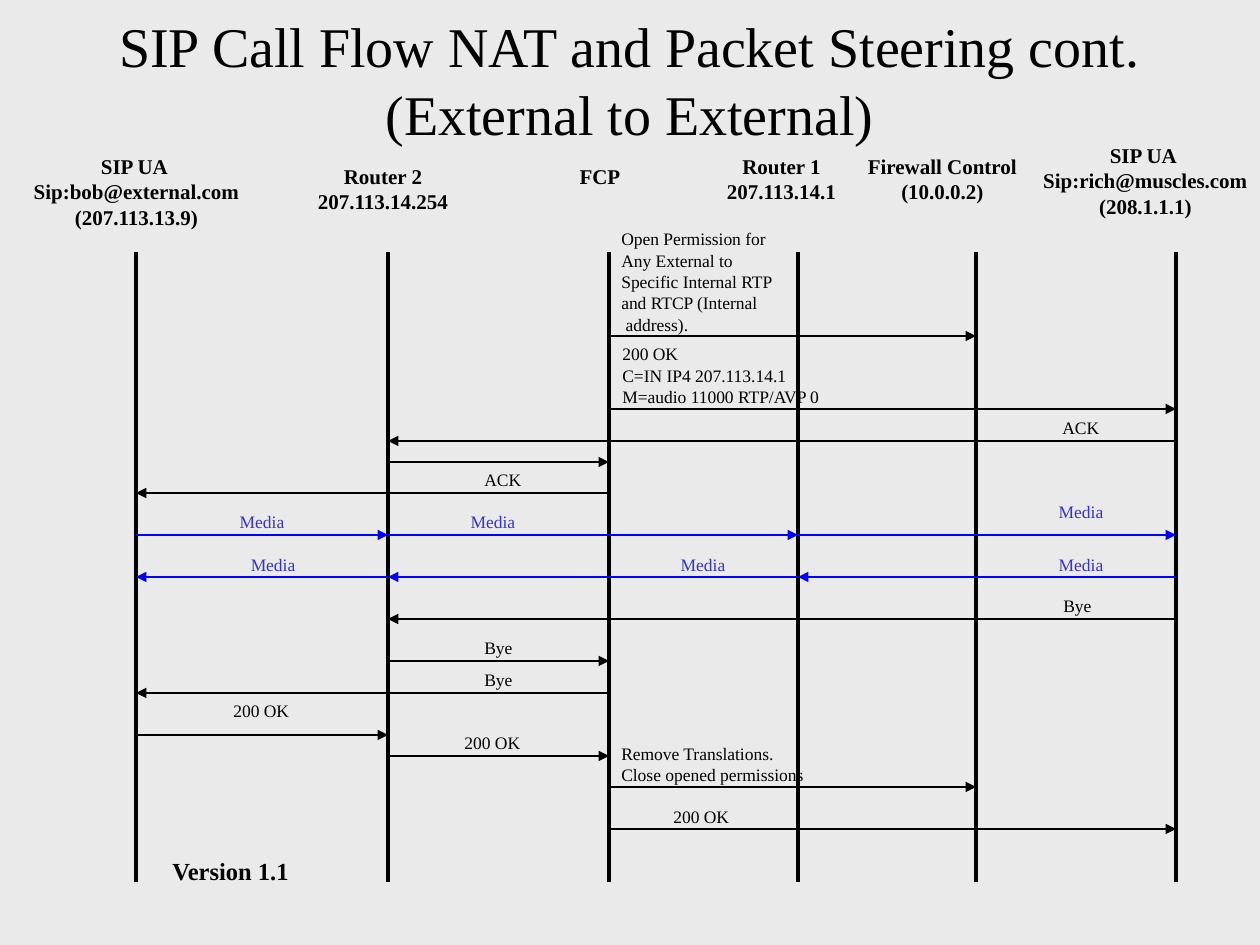
from pptx import Presentation
from pptx.dml.color import RGBColor
from pptx.enum.shapes import MSO_CONNECTOR as Kind
from pptx.enum.text import MSO_ANCHOR as Anchor, MSO_AUTO_SIZE as Fit, PP_ALIGN as Align
from pptx.oxml.ns import qn
from pptx.util import Pt
from lxml.etree import SubElement

PX = 914400 // 126
BLACK = RGBColor(0x00, 0x00, 0x00)
BLUE = RGBColor(0x00, 0x00, 0xFF)
INDIGO = RGBColor(0x33, 0x33, 0xCC)
GREY = RGBColor(0xEA, 0xEA, 0xEA)

deck = Presentation()
deck.slide_width, deck.slide_height = 1260 * PX, 945 * PX
slide = deck.slides.add_slide(deck.slide_layouts[6])
slide.background.fill.solid()
slide.background.fill.fore_color.rgb = GREY


def write(box, lines, size, color=BLACK, bold=False, align=Align.LEFT,
          wrap=False, tight=True, gap=0.62):
    """Add a text box with one paragraph per line."""
    shape = slide.shapes.add_textbox(*[n * PX for n in box])
    frame = shape.text_frame
    frame.word_wrap = wrap
    frame.auto_size = Fit.SHAPE_TO_FIT_TEXT if tight else Fit.NONE
    for i, line in enumerate(lines):
        para = frame.paragraphs[0] if i == 0 else frame.add_paragraph()
        para.alignment = align
        para.space_before = Pt(round(size * gap, 1))
        if tight:
            para.line_spacing = 0.5
        run = para.add_run()
        run.text = line
        font = run.font
        font.name, font.size, font.bold = "Times New Roman", Pt(size), bold
        font.color.rgb = color
    return frame


def draw(x1, y1, x2, y2, color, width, arrow=False):
    """Add a straight line, with an arrowhead at its end if asked."""
    line = slide.shapes.add_connector(
        Kind.STRAIGHT, x1 * PX, y1 * PX, x2 * PX, y2 * PX)
    line.line.color.rgb = color
    line.line.width = Pt(width)
    props = line._element.spPr
    if arrow:
        SubElement(props.find(qn("a:ln")), qn("a:tailEnd"), type="triangle")
    SubElement(props, qn("a:effectLst"))


# Title
title = write((0, 0, 1260, 158),
              ["SIP Call Flow NAT and Packet Steering cont.",
               "(External to External)"],
              32, align=Align.CENTER, wrap=True, tight=False, gap=0)
title.vertical_anchor = Anchor.MIDDLE

# Lifelines
BOB, R2, FCP, R1, WALL, RICH = 136, 388, 609, 798, 976, 1176
for x in (BOB, R2, FCP, R1, WALL, RICH):
    draw(x, 252, x, 882, BLACK, 2.24)

# Party names: left, top, width, lines
parties = [
    (21, 158, 231, ["SIP UA ", "Sip:bob@external.com", "(207.113.13.9)"]),
    (305, 168, 156, ["Router 2", "207.113.14.254"]),
    (567, 168, 66, ["FCP"]),
    (714, 158, 135, ["Router 1", "207.113.14.1"]),
    (855, 158, 175, ["Firewall Control", "(10.0.0.2)"]),
    (1031, 147, 229, ["SIP UA ", "Sip:rich@muscles.com", "(208.1.1.1)"]),
]
for x, y, w, lines in parties:
    name = write((x, y, w, 26 * len(lines)), lines, 12, bold=True,
                 align=Align.CENTER, wrap=True)
    name.margin_left = name.margin_right = 0

# Messages: sender, receiver, height, colour
calls = [
    (FCP, WALL, 336, BLACK),
    (FCP, RICH, 409, BLACK),
    (RICH, R2, 441, BLACK),
    (R2, FCP, 462, BLACK),
    (FCP, BOB, 493, BLACK),
    (BOB, R2, 535, BLUE),
    (R2, R1, 535, BLUE),
    (R1, RICH, 535, BLUE),
    (RICH, R1, 577, BLUE),
    (R1, R2, 577, BLUE),
    (R2, BOB, 577, BLUE),
    (RICH, R2, 619, BLACK),
    (R2, FCP, 661, BLACK),
    (FCP, BOB, 693, BLACK),
    (BOB, R2, 735, BLACK),
    (R2, FCP, 756, BLACK),
    (FCP, WALL, 787, BLACK),
    (FCP, RICH, 829, BLACK),
]
for src, dst, y, color in calls:
    draw(src, y, dst, y, color, 0.74, arrow=True)

# Message notes of several lines
write((609, 231, 189, 110),
      ["Open Permission for ", "Any External to ", "Specific Internal RTP ",
       "and RTCP (Internal", " address)."], 10, wrap=True)
write((610, 346, 226, 67),
      ["200 OK", "C=IN IP4 207.113.14.1", "M=audio 11000 RTP/AVP 0"], 10)
write((609, 746, 228, 45),
      ["Remove Translations.", "Close opened permissions"], 10, wrap=True)

# Short labels: word, width, places
labels = [
    ("ACK", 62, [(1050, 420), (472, 472)]),
    ("Bye", 53, [(1051, 598), (472, 640), (472, 672)]),
    ("200 OK", 81, [(221, 703), (452, 735), (661, 809)]),
]
for word, w, spots in labels:
    for x, y in spots:
        write((x, y, w, 24), [word], 10)

for x, y in [(220, 514), (451, 514), (1039, 504),
             (231, 557), (661, 557), (1039, 557)]:
    write((x, y, 84, 24), ["Media"], 10, INDIGO, align=Align.CENTER, wrap=True)

# Version
write((31, 850, 399, 63), ["Version 1.1"], 14, bold=True,
      align=Align.CENTER, wrap=True, tight=False)

deck.save("out.pptx")
